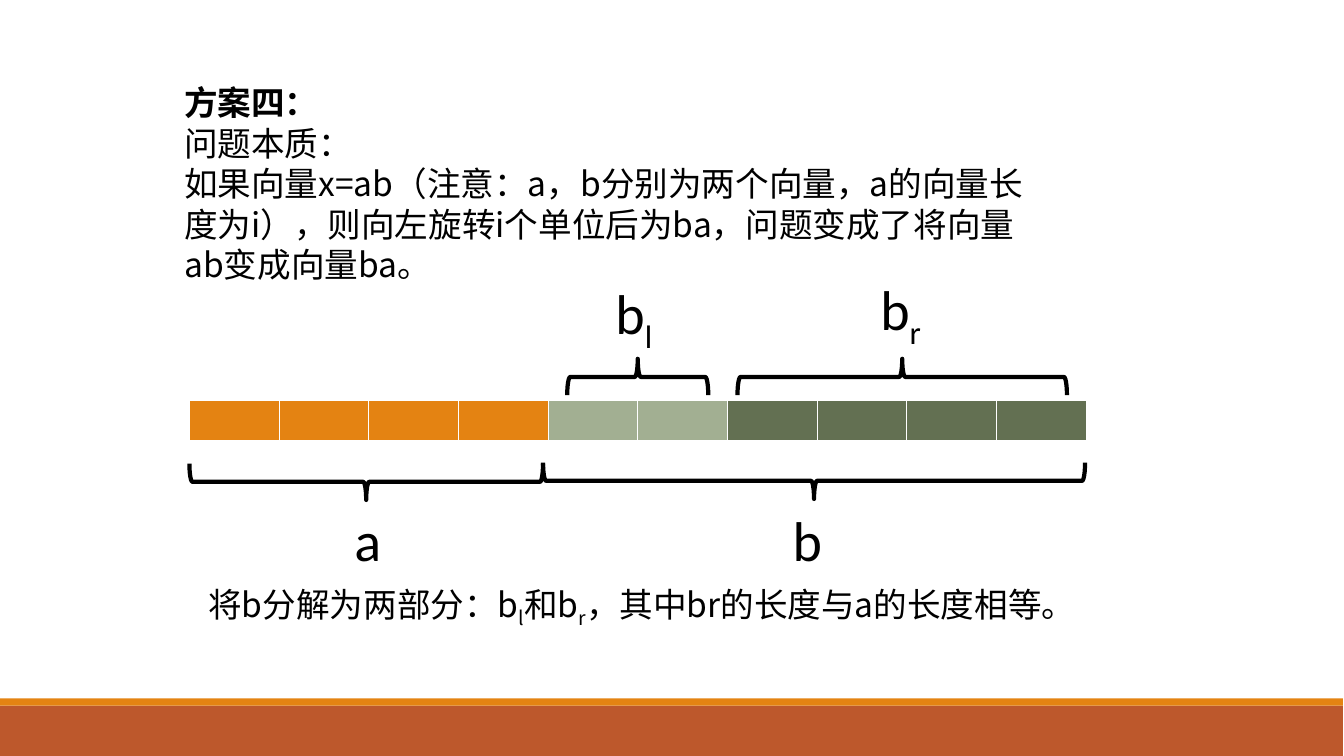
from dataclasses import dataclass

from lxml.etree import SubElement
from pptx import Presentation
from pptx.dml.color import RGBColor
from pptx.enum.shapes import MSO_SHAPE as Shape
from pptx.oxml.ns import qn
from pptx.util import Inches, Pt

BLACK = RGBColor(0, 0, 0)
WHITE = RGBColor(255, 255, 255)
ORANGE = RGBColor(0xE4, 0x83, 0x12)
RUST = RGBColor(0xBD, 0x58, 0x2C)
SAGE = RGBColor(0xA2, 0xAF, 0x92)
MOSS = RGBColor(0x63, 0x70, 0x52)

HAN = "Noto Sans CJK SC"
LATIN = "Calibri"
CELLS = [ORANGE] * 4 + [SAGE] * 2 + [MOSS] * 4
EDGES = {"a:lnL": 0.45, "a:lnR": 0.45, "a:lnT": 0.45, "a:lnB": 1.47}
DEPTH = 0.36


@dataclass
class Run:
    text: str
    bold: bool = False
    sub: bool = False


@dataclass
class Box:
    left: float
    top: float
    width: float
    height: float
    lines: list[list[Run]]
    size: int = 40
    font: str = LATIN
    pitch: int | None = None


@dataclass
class Brace:
    left: float
    top: float
    span: float
    turn: int


@dataclass
class Band:
    top: float
    height: float
    color: RGBColor


BANDS = [Band(7, 0.5, RUST), Band(6.93, 0.07, ORANGE)]
BRACES = [
    Brace(1.88, 4.6, 3.51, 270),
    Brace(5.39, 4.59, 5.38, 270),
    Brace(5.63, 3.56, 1.4, 90),
    Brace(7.32, 3.56, 3.27, 90),
]
BOXES = [
    Box(1.73, 0.76, 8.58, 2.1, [
        [Run("方案四：", bold=True)],
        [Run("问题本质：")],
        [Run("如果向量x=ab（注意：a，b分别为两个向量，a的向量长度为i），"
             "则向左旋转i个单位后为ba，问题变成了将向量ab变成向量ba。")],
    ], 24, HAN, 29),
    Box(3.42, 4.97, 0.63, 0.77, [[Run("a")]]),
    Box(7.77, 4.97, 0.63, 0.77, [[Run("b")]]),
    Box(6.01, 2.71, 0.63, 0.86, [[Run("b"), Run("l", sub=True)]]),
    Box(8.64, 2.67, 0.63, 0.86, [[Run("b"), Run("r", sub=True)]]),
    Box(1.97, 5.74, 8.71, 0.96, [[
        Run("将b分解为两部分：b"), Run("l", sub=True),
        Run("和b"), Run("r", sub=True),
        Run("，其中br的长度与a的长度相等。"),
    ]], 24, HAN, 33),
]


def draw_band(slide, band: Band) -> None:
    bar = slide.shapes.add_shape(
        Shape.RECTANGLE, 0, Inches(band.top), Inches(13.33), Inches(band.height))
    bar.shadow.inherit = False
    bar.fill.solid()
    bar.fill.fore_color.rgb = band.color
    bar.line.fill.background()


def draw_brace(slide, brace: Brace) -> None:
    """Place an upright brace so that, once turned, it fills the given span."""
    shift = (brace.span - DEPTH) / 2
    mark = slide.shapes.add_shape(
        Shape.LEFT_BRACE, Inches(brace.left + shift), Inches(brace.top - shift),
        Inches(DEPTH), Inches(brace.span))
    mark.rotation = brace.turn
    mark.shadow.inherit = False
    mark.fill.background()
    mark.line.color.rgb = BLACK
    mark.line.width = Pt(3)


def draw_box(slide, box: Box) -> None:
    frame = slide.shapes.add_textbox(
        Inches(box.left), Inches(box.top),
        Inches(box.width), Inches(box.height)).text_frame
    frame.word_wrap = True
    for i, line in enumerate(box.lines):
        para = frame.add_paragraph() if i else frame.paragraphs[0]
        if box.pitch:
            para.line_spacing = Pt(box.pitch)
        for part in line:
            run = para.add_run()
            run.text = part.text
            font = run.font
            font.name = box.font
            font.size = Pt(box.size)
            font.bold = part.bold
            font.color.rgb = BLACK
            props = font._element
            SubElement(props, qn("a:ea")).set("typeface", HAN)
            if part.sub:
                props.set("baseline", "-25000")


def draw_edges(cell) -> None:
    props = cell._tc.get_or_add_tcPr()
    for i, (tag, width) in enumerate(EDGES.items()):
        edge = props.makeelement(qn(tag), {"w": str(Pt(width))})
        fill = SubElement(edge, qn("a:solidFill"))
        SubElement(fill, qn("a:srgbClr")).set("val", str(WHITE))
        props.insert(i, edge)


def draw_vector(slide) -> None:
    table = slide.shapes.add_table(
        1, len(CELLS), Inches(1.88), Inches(3.97), Inches(8.9), Inches(0.4)).table
    for i, color in enumerate(CELLS):
        table.columns[i].width = Inches(0.89)
        cell = table.cell(0, i)
        cell.margin_top = cell.margin_bottom = 0
        cell.fill.solid()
        cell.fill.fore_color.rgb = color
        draw_edges(cell)


def main() -> None:
    deck = Presentation()
    deck.slide_width, deck.slide_height = Inches(13.34), Inches(7.5)
    slide = deck.slides.add_slide(deck.slide_layouts[6])
    for band in BANDS:
        draw_band(slide, band)
    draw_vector(slide)
    for brace in BRACES:
        draw_brace(slide, brace)
    for box in BOXES:
        draw_box(slide, box)
    deck.save("out.pptx")


if __name__ == "__main__":
    main()
